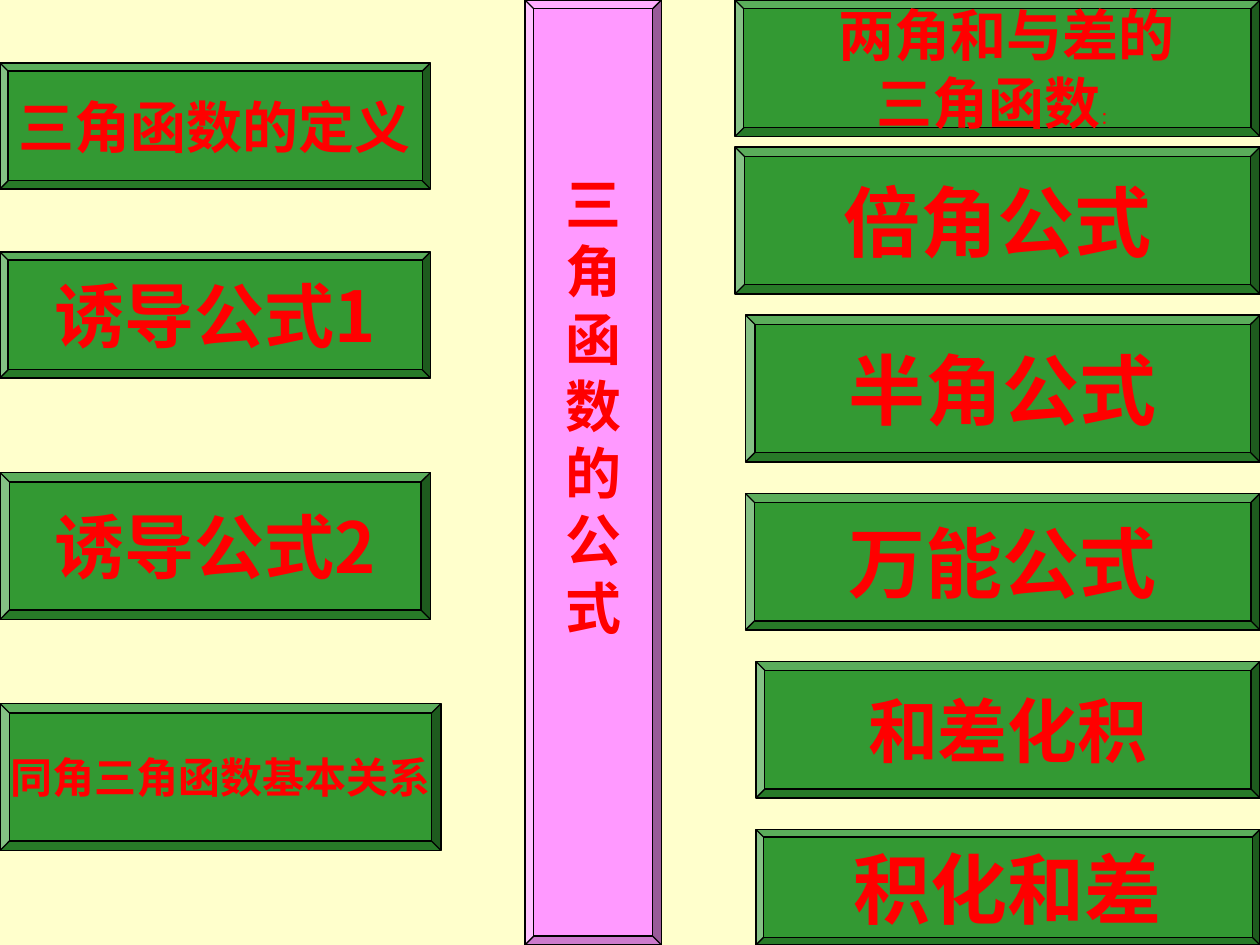
from dataclasses import dataclass

from lxml.etree import SubElement
from pptx import Presentation
from pptx.dml.color import RGBColor
from pptx.enum.shapes import MSO_SHAPE
from pptx.enum.text import MSO_ANCHOR, PP_ALIGN
from pptx.oxml.ns import qn
from pptx.util import Inches, Pt

UNIT = Inches(1) // 12  # the slide is a grid of 120 columns by 90 rows
COLUMNS, ROWS = 120, 90


@dataclass(frozen=True)
class Theme:
    background: str = "FFFFCC"
    topic: str = "339933"
    pillar: str = "FF99FF"
    text: str = "FF0000"
    outline: str = "000000"
    sans: str = "Noto Sans CJK SC"
    serif: str = "Times New Roman"
    huge: int = 44
    large: int = 40
    medium: int = 32
    small: int = 24
    tiny: int = 10


@dataclass(frozen=True)
class Panel:
    text: str
    column: int
    row: int
    columns: int
    rows: int
    size: int
    font: str


THEME = Theme()

LEFT_TOPICS = [
    Panel("三角函数的定义", 0, 6, 41, 12, THEME.medium, THEME.sans),
    Panel("诱导公式1", 0, 24, 41, 12, THEME.large, THEME.sans),
    Panel("诱导公式2", 0, 45, 41, 14, THEME.large, THEME.sans),
    Panel("同角三角函数基本关系", 0, 67, 42, 14, THEME.small, THEME.sans),
]
SUM_TOPIC = Panel("两角和与差的\n三角函数", 70, 0, 50, 13, THEME.medium, THEME.serif)
RIGHT_TOPICS = [
    Panel("倍角公式", 70, 14, 50, 14, THEME.huge, THEME.serif),
    Panel("半角公式", 71, 30, 49, 14, THEME.huge, THEME.serif),
    Panel("积化和差", 72, 79, 48, 11, THEME.huge, THEME.serif),
    Panel("万能公式", 71, 47, 49, 13, THEME.huge, THEME.serif),
    Panel("和差化积", 72, 63, 48, 13, THEME.large, THEME.serif),
]
PILLAR = Panel("\n".join("三角函数的公式"), 50, 0, 13, ROWS, THEME.medium, THEME.sans)


def add_span(para, text: str, *, size: int, font: str, bold: bool = True):
    span = para.add_run()
    span.text = text
    span.font.size = Pt(size)
    span.font.bold = bold
    span.font.name = font
    span.font.color.rgb = RGBColor.from_string(THEME.text)
    SubElement(span.font._element, qn("a:ea"), typeface=THEME.sans)
    return span


def add_panel(page, panel: Panel, fill: str):
    """Draw a bevelled panel with one centred paragraph per line of its text."""
    box = page.shapes.add_shape(
        MSO_SHAPE.BEVEL,
        *(UNIT * cells for cells in (panel.column, panel.row, panel.columns, panel.rows)),
    )
    box.adjustments[0] = 0.065
    box.shadow.inherit = False
    box.fill.solid()
    box.fill.fore_color.rgb = RGBColor.from_string(fill)
    box.line.color.rgb = RGBColor.from_string(THEME.outline)
    box.line.width = Pt(0.75)

    frame = box.text_frame
    frame.word_wrap = False
    frame.vertical_anchor = MSO_ANCHOR.MIDDLE
    for index, line in enumerate(panel.text.split("\n")):
        para = frame.add_paragraph() if index else frame.paragraphs[0]
        para.alignment = PP_ALIGN.CENTER
        add_span(para, line, size=panel.size, font=panel.font)
    return box


def main() -> None:
    deck = Presentation()
    deck.slide_width, deck.slide_height = UNIT * COLUMNS, UNIT * ROWS
    page = deck.slides.add_slide(deck.slide_layouts[6])
    page.background.fill.solid()
    page.background.fill.fore_color.rgb = RGBColor.from_string(THEME.background)

    for topic in LEFT_TOPICS:
        add_panel(page, topic, THEME.topic)

    first, last = add_panel(page, SUM_TOPIC, THEME.topic).text_frame.paragraphs
    first._p.get_or_add_pPr().set("marL", str(Inches(0.14)))
    add_span(last, "：", size=THEME.tiny, font=THEME.serif, bold=False)

    for topic in RIGHT_TOPICS:
        add_panel(page, topic, THEME.topic)

    pillar = add_panel(page, PILLAR, THEME.pillar)
    pillar.text_frame.margin_bottom = Inches(1.12)  # lifts the title above the middle

    deck.save("out.pptx")


if __name__ == "__main__":
    main()
